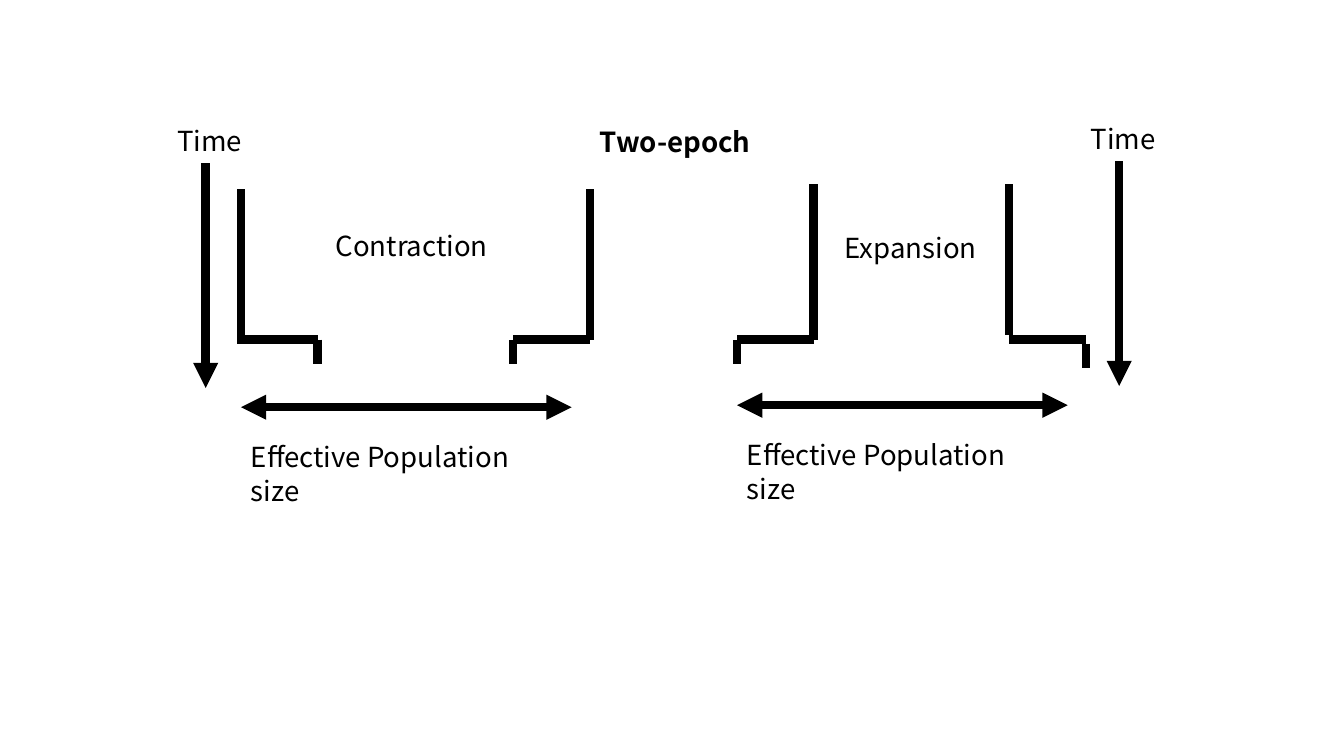
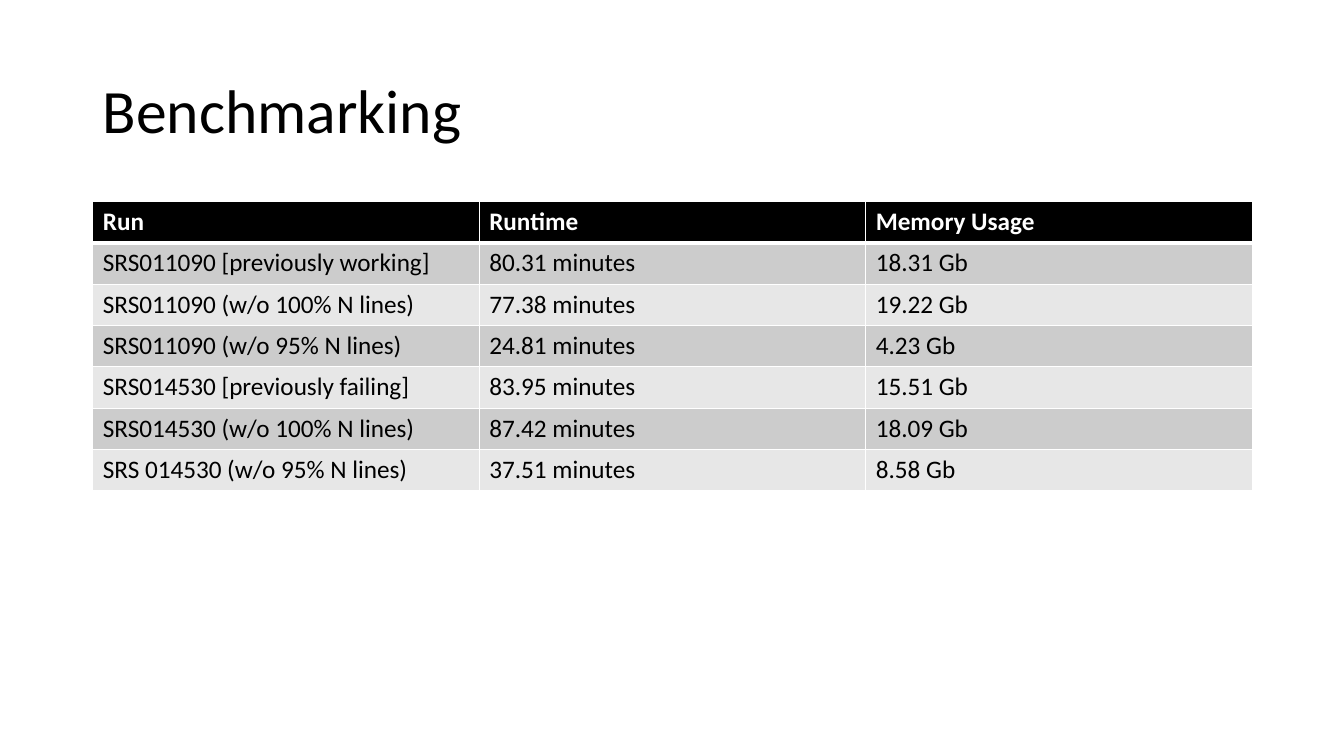
from dataclasses import dataclass

from lxml.etree import SubElement
from pptx import Presentation
from pptx.dml.color import RGBColor
from pptx.enum.shapes import MSO_CONNECTOR
from pptx.enum.text import MSO_ANCHOR, MSO_AUTO_SIZE, PP_ALIGN
from pptx.oxml.ns import qn
from pptx.util import Inches, Pt


@dataclass(frozen=True)
class Theme:
    black: RGBColor = RGBColor(0, 0, 0)
    white: RGBColor = RGBColor(255, 255, 255)
    bands: tuple = (RGBColor(0xCC, 0xCC, 0xCC), RGBColor(0xE7, 0xE7, 0xE7))
    diagram_font: str = "Noto Sans CJK JP"
    body_font: str = "Calibri"
    label_size: float = 19.7
    title_size: float = 44
    table_size: float = 18
    stroke: float = 6


THEME = Theme()
LABEL = {"name": THEME.diagram_font, "size": Pt(THEME.label_size), "bold": False}
HEADING = LABEL | {"bold": True}
TITLE = {"name": THEME.body_font, "size": Pt(THEME.title_size), "bold": False}
CELL = {"name": THEME.body_font, "size": Pt(THEME.table_size), "bold": False}
HEADER = CELL | {"bold": True}

WIDTH, HEIGHT = 13.33, 7.5
MARGIN, CONTENT_WIDTH = 0.92, 11.5

# Each population outline has four columns: outer, inner, inner, outer.
SHOULDER, NECK = 0.76, 1.94
COLUMNS = (0, SHOULDER, SHOULDER + NECK, 2 * SHOULDER + NECK)
FLOOR, FOOT = 3.37, 0.24
SIZE_WIDTH = 3.28

# Verticals are (column, top, bottom).
EPOCHS = (
    {
        "name": "Contraction", "left": 2.39, "name_at": (3.23, 2.22),
        "verticals": ((0, 1.88, 3.41), (3, 1.88, FLOOR),
                      (1, FLOOR, FLOOR + FOOT), (2, FLOOR, FLOOR + FOOT)),
        "time_x": 2.04, "time_top": 1.18, "size_y": 4.04,
    },
    {
        "name": "Expansion", "left": 7.31, "name_at": (8.28, 2.24),
        "verticals": ((1, 1.83, FLOOR), (2, 1.83, 3.32),
                      (0, FLOOR, FLOOR + FOOT), (3, 3.41, 3.41 + FOOT)),
        "time_x": 11.1, "time_top": 1.16, "size_y": 4.02,
    },
)

RUNS = (
    ("Run", "Runtime", "Memory Usage"),
    ("SRS011090 [previously working]", "80.31 minutes", "18.31 Gb"),
    ("SRS011090 (w/o 100% N lines)", "77.38 minutes", "19.22 Gb"),
    ("SRS011090 (w/o 95% N lines)", "24.81 minutes", "4.23 Gb"),
    ("SRS014530 [previously failing]", "83.95 minutes", "15.51 Gb"),
    ("SRS014530 (w/o 100% N lines)", "87.42 minutes", "18.09 Gb"),
    ("SRS 014530 (w/o 95% N lines)", "37.51 minutes", "8.58 Gb"),
)


def write(tf, text, style, color=THEME.black):
    p = tf.paragraphs[0]
    p.alignment = PP_ALIGN.LEFT
    r = p.add_run()
    r.text = text
    for key, value in style.items():
        setattr(r.font, key, value)
    r.font.color.rgb = color
    return p


def add_titled_slide(prs, text, style, box, anchor, spacing):
    s = prs.slides.add_slide(prs.slide_layouts[5])
    title = s.shapes.title
    for side, value in zip(("left", "top", "width", "height"), box):
        setattr(title, side, Inches(value))
    tf = title.text_frame
    tf.auto_size = MSO_AUTO_SIZE.NONE
    tf.word_wrap = True
    tf.vertical_anchor = anchor
    write(tf, text, style).line_spacing = spacing
    return s


def add_label(s, text, left, top, width, height=0.43):
    sp = s.shapes.add_textbox(*map(Inches, (left, top, width, height)))
    sp.text_frame.word_wrap = True
    write(sp.text_frame, text, LABEL)


def add_line(s, start, end, arrows=()):
    """Draw a thick line; arrows names its ends: headEnd, tailEnd."""
    line = s.shapes.add_connector(
        MSO_CONNECTOR.STRAIGHT, *map(Inches, (*start, *end)))
    line.line.color.rgb = THEME.black
    line.line.width = Pt(THEME.stroke)
    ln = line.line._get_or_add_ln()
    for arrow in arrows:
        SubElement(ln, qn(f"a:{arrow}"), type="triangle")
    SubElement(line._element.spPr, qn("a:effectLst"))


def add_epoch(s, epoch):
    """Draw one population outline with its name and its two axes."""
    left = epoch["left"]
    xs = [left + column for column in COLUMNS]
    for column, top, bottom in epoch["verticals"]:
        add_line(s, (xs[column], top), (xs[column], bottom))
    for start, end in (xs[:2], xs[2:]):
        add_line(s, (start, FLOOR), (end, FLOOR))
    add_label(s, epoch["name"], *epoch["name_at"], 1.86)

    x, top = epoch["time_x"], epoch["time_top"]
    add_label(s, "Time", x - 0.38, top, 0.94)
    add_line(s, (x, top + 0.44), (x, top + 2.67), ("tailEnd",))

    y = epoch["size_y"]
    add_line(s, (left, y), (left + SIZE_WIDTH, y), ("headEnd", "tailEnd"))
    add_label(s, "Effective Population size", left, y + 0.28, SIZE_WIDTH, 0.76)


def set_borders(cell, bottom):
    tcPr = cell._tc.get_or_add_tcPr()
    for side, width in (("L", 1), ("R", 1), ("T", 1), ("B", bottom)):
        ln = SubElement(tcPr, qn(f"a:ln{side}"), w=str(Pt(width)))
        fill = SubElement(ln, qn("a:solidFill"))
        SubElement(fill, qn("a:srgbClr"), val=str(THEME.white))


def add_run_table(s, rows, top, row_height):
    frame = s.shapes.add_table(
        len(rows), len(rows[0]),
        *map(Inches, (MARGIN, top, CONTENT_WIDTH, row_height * len(rows))))
    table = frame.table
    table.horz_banding = False
    for i, row in enumerate(rows):
        header = i == 0
        for j, text in enumerate(row):
            cell = table.cell(i, j)
            set_borders(cell, 3 if header or i == 0 else 1)
            cell.fill.solid()
            cell.fill.fore_color.rgb = (
                THEME.black if header else THEME.bands[(i - 1) % 2])
            write(cell.text_frame, text, HEADER if header else CELL,
                  THEME.white if header else THEME.black)


def main():
    prs = Presentation()
    prs.slide_width, prs.slide_height = Inches(WIDTH), Inches(HEIGHT)

    s = add_titled_slide(prs, "Two-epoch", HEADING,
                         (5.85, 1.19, 2.54, 0.43), MSO_ANCHOR.TOP, 1.0)
    for epoch in EPOCHS:
        add_epoch(s, epoch)

    s = add_titled_slide(prs, "Benchmarking", TITLE,
                         (MARGIN, 0.4, CONTENT_WIDTH, 1.45),
                         MSO_ANCHOR.MIDDLE, 0.9)
    add_run_table(s, RUNS, 2, 0.41)

    prs.save("out.pptx")


if __name__ == "__main__":
    main()
